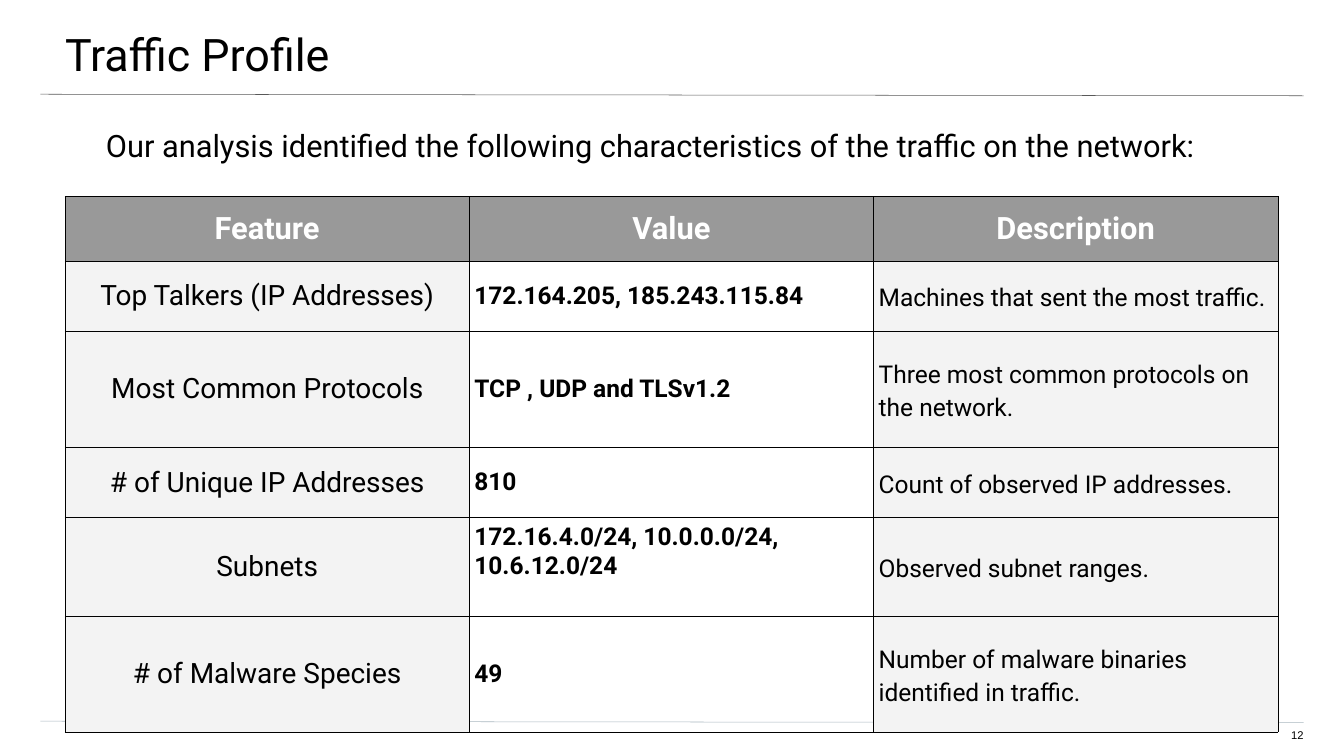
from lxml import etree
from pptx import Presentation
from pptx import util as u
from pptx.dml.color import RGBColor
from pptx.enum import shapes, text
from pptx.oxml.ns import qn

TITLE = "Traffic Profile"
INTRO = "Our analysis identified the following characteristics of the traffic on the network:"
PAGE = "12"
HEADER = ("Feature", "Value", "Description")
ROWS = [
    ("Top Talkers (IP Addresses)", "172.164.205, 185.243.115.84",
     "Machines that sent the most traffic."),
    ("Most Common Protocols", "TCP , UDP and TLSv1.2",
     "Three most common protocols on the network."),
    ("# of Unique IP Addresses", "810", "Count of observed IP addresses."),
    ("Subnets", "172.16.4.0/24, 10.0.0.0/24, 10.6.12.0/24", "Observed subnet ranges."),
    ("# of Malware Species", "49", "Number of malware binaries identified in traffic."),
]
HEIGHTS = (1.28, 1.39, 2.31, 1.39, 1.95, 2.31)
COL_W = 8.02
RULES = [(1.87, "595959"), (14.31, "A9B7C0")]
LEFT, CENTER, RIGHT = text.PP_ALIGN.LEFT, text.PP_ALIGN.CENTER, text.PP_ALIGN.RIGHT
TOP, MIDDLE = text.MSO_ANCHOR.TOP, text.MSO_ANCHOR.MIDDLE

HEAD_FORMAT = dict(size=44, color="FFFFFF", bold=True, align=CENTER)
COL_FORMATS = [
    dict(size=40, align=CENTER),
    dict(size=35, bold=True),
    dict(size=35, spacing=1.15),
]
COL_FILLS = ("F3F3F3", None, "F3F3F3")


def rgb(value):
    return RGBColor.from_string(value)


def write(tf, content, size, color="000000", font="Roboto", bold=False,
          align=LEFT, spacing=None, after=None):
    p = tf.paragraphs[0]
    p.alignment = align
    if spacing:
        p.line_spacing = spacing
    if after:
        p.space_after = u.Pt(after)
    r = p.add_run()
    r.text = content
    r.font.size, r.font.name, r.font.bold = u.Pt(size), font, bold
    r.font.color.rgb = rgb(color)


def set_frame(tf, left, top, right, bottom):
    tf.word_wrap = True
    tf.auto_size = text.MSO_AUTO_SIZE.NONE
    tf.vertical_anchor = TOP
    tf.margin_left, tf.margin_top = u.Inches(left), u.Inches(top)
    tf.margin_right, tf.margin_bottom = u.Inches(right), u.Inches(bottom)


def add_text(s, box, insets, content, **fmt):
    tf = s.shapes.add_textbox(*map(u.Inches, box)).text_frame
    set_frame(tf, *insets)
    write(tf, content, **fmt)


def add_rule(s, y, color):
    line = s.shapes.add_connector(shapes.MSO_CONNECTOR.STRAIGHT, u.Inches(0.8), u.Inches(y),
                                  u.Inches(25.86), u.Inches(y + 0.03))
    line.line.color.rgb = rgb(color)
    line.line.width = u.Pt(0.75)
    etree.SubElement(line._element.spPr, qn("a:effectLst"))


def add_borders(cell):
    tc_pr = cell._tc.get_or_add_tcPr()
    for side in ("lnL", "lnR", "lnT", "lnB"):
        ln = etree.SubElement(tc_pr, qn(f"a:{side}"), w=str(u.Pt(0.75)))
        fill = etree.SubElement(ln, qn("a:solidFill"))
        etree.SubElement(fill, qn("a:srgbClr"), val="000000")


def fill_cell(cell, content, fill, anchor, fmt):
    cell.margin_left = cell.margin_right = u.Inches(0.1)
    cell.margin_top = cell.margin_bottom = u.Inches(0.1)
    cell.vertical_anchor = anchor
    add_borders(cell)
    if fill:
        cell.fill.solid()
        cell.fill.fore_color.rgb = rgb(fill)
    else:
        cell.fill.background()
    write(cell.text_frame, content, **fmt)


def add_profile_table(s):
    table = s.shapes.add_table(len(HEIGHTS), len(HEADER), u.Inches(1.29), u.Inches(3.9),
                               u.Inches(COL_W * len(HEADER)), u.Inches(sum(HEIGHTS))).table
    table.first_row = table.horz_banding = False
    for col in table.columns:
        col.width = u.Inches(COL_W)
    for row, height in zip(table.rows, HEIGHTS):
        row.height = u.Inches(height)
    for c, heading in enumerate(HEADER):
        fill_cell(table.cell(0, c), heading, "999999", MIDDLE, HEAD_FORMAT)
        for r, row in enumerate(ROWS, 1):
            anchor = TOP if (row[0], heading) == ("Subnets", "Value") else MIDDLE
            fill_cell(table.cell(r, c), row[c], COL_FILLS[c], anchor, COL_FORMATS[c])


def main():
    prs = Presentation()
    prs.slide_width, prs.slide_height = u.Inches(26.66), u.Inches(15)
    s = prs.slides.add_slide(prs.slide_layouts[5])
    for y, color in RULES:
        add_rule(s, y, color)
    title = s.shapes.title
    title.left, title.top = u.Inches(-0.04), u.Inches(0)
    title.width, title.height = u.Inches(26.73), u.Inches(1.56)
    set_frame(title.text_frame, 1.33, 0.53, 0.8, 0.27)
    write(title.text_frame, TITLE, size=64)
    add_text(s, (25.1, 14.46, 0.76, 0.31), (0, 0, 0, 0.27), PAGE,
             size=16, font="Arial", align=RIGHT)
    add_text(s, (0.77, 2.51, 25.09, 10.79), (1.33, 0, 1.33, 2.67), INTRO, size=44, after=12)
    add_profile_table(s)
    prs.save("out.pptx")


if __name__ == "__main__":
    main()
